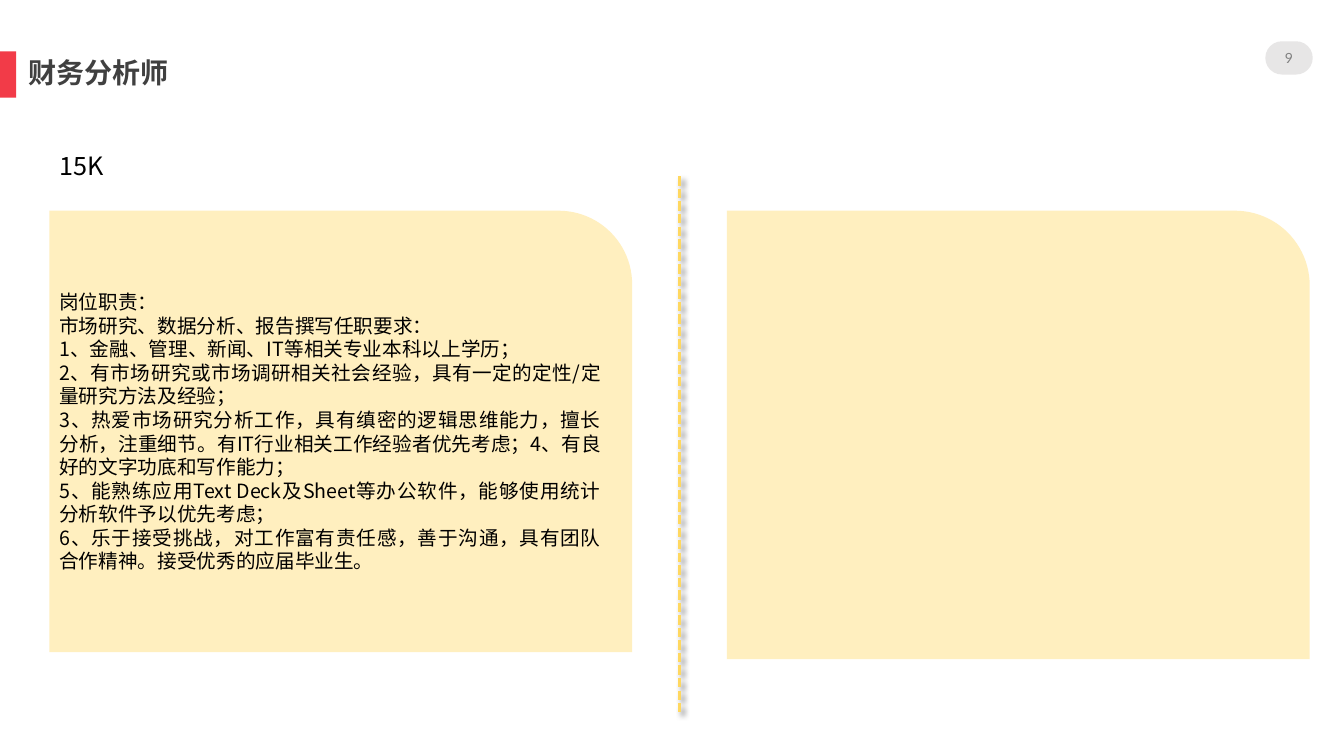
from lxml.etree import SubElement
from pptx import Presentation
from pptx.dml.color import RGBColor
from pptx.enum.dml import MSO_LINE
from pptx.enum.shapes import MSO_CONNECTOR, MSO_SHAPE
from pptx.enum.text import MSO_ANCHOR, PP_ALIGN
from pptx.oxml.ns import qn
from pptx.util import Inches, Pt

HUES = {"red": "F23B48", "pill": "E7E6E6", "gold": "FFD860",
        "title": "404040", "page": "808080", "text": "000000"}
SANS = "Noto Sans CJK SC"
DUTIES = [
    "岗位职责：",
    "市场研究、数据分析、报告撰写任职要求：",
    "1、金融、管理、新闻、IT等相关专业本科以上学历；",
    "2、有市场研究或市场调研相关社会经验，具有一定的定性/定量研究方法及经验；",
    "3、热爱市场研究分析工作，具有缜密的逻辑思维能力，擅长分析，注重细节。"
    "有IT行业相关工作经验者优先考虑；4、有良好的文字功底和写作能力；",
    "5、能熟练应用Text Deck及Sheet等办公软件，能够使用统计分析软件予以优先考虑；",
    "6、乐于接受挑战，对工作富有责任感，善于沟通，具有团队合作精神。接受优秀的应届毕业生。",
]


def color(name):
    return RGBColor.from_string(HUES[name])


def add_block(slide, kind, box, hue, round_by=None, alpha=None):
    """Add a borderless filled shape; alpha is its opacity in percent."""
    block = slide.shapes.add_shape(kind, *map(Inches, box))
    block.shadow.inherit = False
    block.fill.solid()
    block.fill.fore_color.rgb = color(hue)
    block.line.fill.background()
    if round_by is not None:
        block.adjustments[0] = round_by
    if alpha:
        tint = block._element.spPr.find(qn("a:solidFill"))[0]
        SubElement(tint, qn("a:alpha"), val=str(alpha * 1000))
    return block


def write(shape, lines, size, hue, font=SANS, bold=False,
          align=PP_ALIGN.LEFT, anchor=MSO_ANCHOR.MIDDLE, inset=None):
    frame = shape.text_frame
    frame.word_wrap = True
    frame.vertical_anchor = anchor
    if inset is not None:
        frame.margin_left = frame.margin_right = Inches(inset)
        frame.margin_top = frame.margin_bottom = Inches(inset)
    frame.text = "\n".join(lines)
    for para in frame.paragraphs:
        para.alignment = align
        for run in para.runs:
            run.font.size = Pt(size)
            run.font.bold = bold
            run.font.name = font
            run.font.color.rgb = color(hue)
            SubElement(run.font._element, qn("a:ea"), typeface=font)
    return frame


def add_label(slide, box, *args, **style):
    label = slide.shapes.add_textbox(*map(Inches, box))
    return write(label, *args, **style)


def add_header(slide, left, top, title):
    add_block(slide, MSO_SHAPE.ROUNDED_RECTANGLE, (left, top, 0.16, 0.46),
              "red", round_by=0)
    frame = add_label(slide, (left + 0.28, top, 4.17, 0.46), [title], 20,
                      "title", bold=True, inset=0)
    frame.paragraphs[0].line_spacing = 0.9


def add_page(slide, left, top, number):
    box = (left, top, 0.47, 0.33)
    add_block(slide, MSO_SHAPE.ROUNDED_RECTANGLE, box, "pill", round_by=0.5)
    add_label(slide, (left, top - 0.05, 0.47, 0.43), [number], 10, "page",
              font="Lato", align=PP_ALIGN.CENTER, inset=0)


def add_panel(slide, box, lines=()):
    panel = add_block(slide, MSO_SHAPE.ROUND_1_RECTANGLE, box, "gold",
                      alpha=40)
    if lines:
        write(panel, lines, 14, "text", align=PP_ALIGN.JUSTIFY)


def add_divider(slide, left, top, height):
    """Add a dashed upright line with a soft shadow."""
    ends = map(Inches, (left, top, left, top + height))
    rule = slide.shapes.add_connector(MSO_CONNECTOR.STRAIGHT, *ends)
    rule.line.color.rgb = color("gold")
    rule.line.width = Pt(2.25)
    rule.line.dash_style = MSO_LINE.SQUARE_DOT
    effects = SubElement(rule._element.spPr, qn("a:effectLst"))
    shadow = SubElement(effects, qn("a:outerShdw"), blurRad=str(Pt(4)),
                        dist=str(Pt(3)), dir=str(45 * 60000), algn="tl",
                        rotWithShape="0")
    tint = SubElement(shadow, qn("a:srgbClr"), val=HUES["text"])
    SubElement(tint, qn("a:alpha"), val="40000")


def main():
    deck = Presentation()
    deck.slide_width, deck.slide_height = Inches(13.33), Inches(7.5)
    slide = deck.slides.add_slide(deck.slide_layouts[6])
    add_header(slide, 0, 0.51, "财务分析师")
    add_page(slide, 12.55, 0.41, "9")
    add_panel(slide, (0.49, 2.09, 5.78, 4.38), DUTIES)
    add_divider(slide, 6.74, 1.75, 5.33)
    add_panel(slide, (7.21, 2.09, 5.78, 4.45))
    add_label(slide, (0.49, 1.44, 2.33, 0.4), ["15K"], 18, "text",
              anchor=MSO_ANCHOR.TOP)
    deck.save("out.pptx")


if __name__ == "__main__":
    main()
